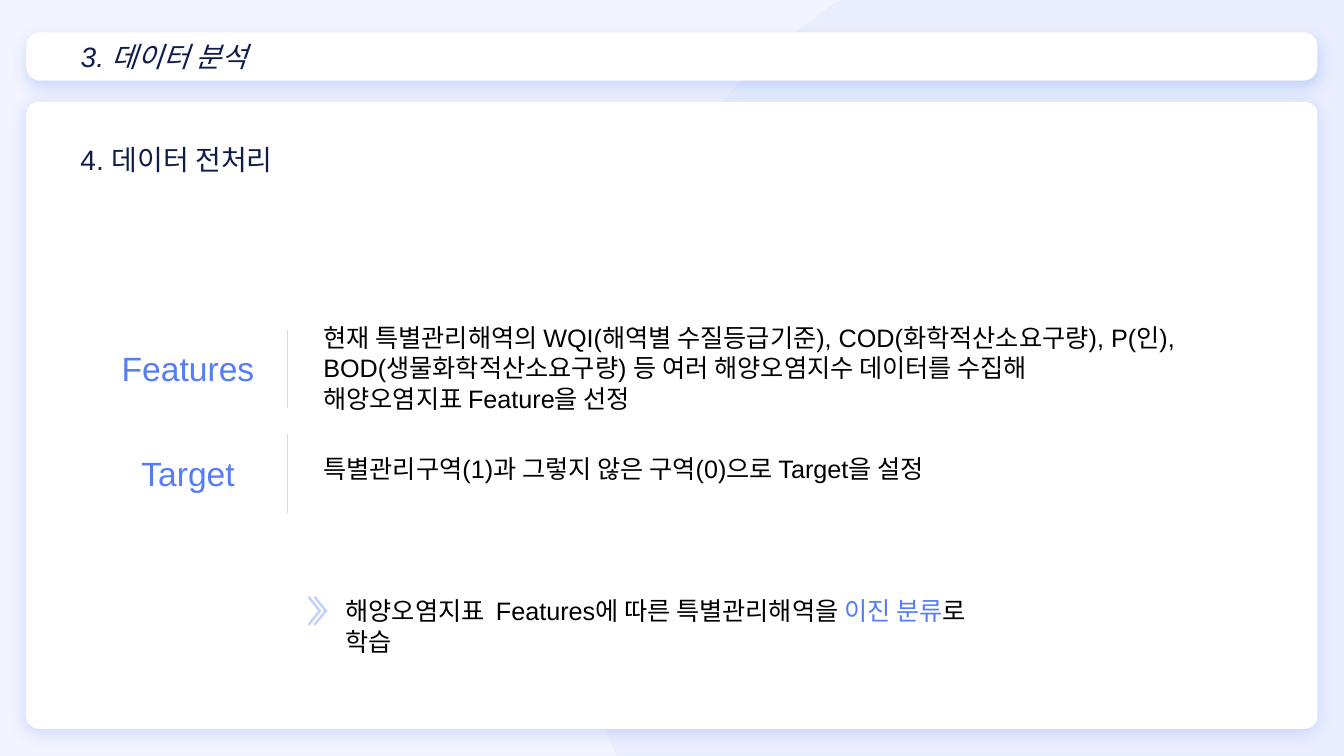
"""Build the data preprocessing slide on a grid of tenth-inch columns and rows."""
import dataclasses

import lxml.etree
import pptx
import pptx.dml.color
import pptx.enum.shapes
import pptx.enum.text
import pptx.oxml.ns
import pptx.util

NAVY, BLUE, PALE, BLACK, WHITE = "0F1D4A", "557CF9", "8FACFC", "000000", "FFFFFF"
GREY, CHEVRON, BACKGROUND = "D8D8D8", "C3D1FD", "F2F4FF"
FONT = "Arial"
COLUMNS, ROWS = 133.33, 75
ROW_PITCH = 10.4
CURVE_STEPS = 32


@dataclasses.dataclass(frozen=True)
class Box:
    left: float
    top: float
    width: float
    height: float


@dataclasses.dataclass(frozen=True)
class Run:
    text: str
    color: str


@dataclasses.dataclass(frozen=True)
class Panel:
    box: Box
    rounding: float


@dataclasses.dataclass(frozen=True)
class Definition:
    term: str
    lines: tuple[str, ...]
    text_top: float


HEADER = Panel(Box(2.6, 3.2, 128.1, 4.8), 0.29)
BODY = Panel(Box(2.6, 10.1, 128.1, 62.2), 0.02)
DEFINITIONS = (
    Definition(
        "Features",
        (
            "현재 특별관리해역의 WQI(해역별 수질등급기준), COD(화학적산소요구량), P(인),",
            "BOD(생물화학적산소요구량) 등 여러 해양오염지수 데이터를 수집해",
            "해양오염지표 Feature을 선정",
        ),
        31.5,
    ),
    Definition("Target", ("특별관리구역(1)과 그렇지 않은 구역(0)으로 Target을 설정",), 44.5),
)
CONCLUSION = (
    Run("해양오염지표  Features에 따른 특별관리해역을 ", BLACK),
    Run("이진 분류", BLUE),
    Run("로 학습", BLACK),
)
CURVES = (
    ((60.8, 74.1), (57.7, 66.9), (56, 58.9), (56, 50.6)),
    ((56, 50.6), (56, 29.7), (66.6, 11.3), (82.7, 0.4)),
)


def grid(units: float) -> int:
    """Convert grid columns or rows to a length."""
    return int(pptx.util.Inches(units / 10))


def place(box: Box) -> tuple[int, int, int, int]:
    """Return the left, top, width and height of a box."""
    return grid(box.left), grid(box.top), grid(box.width), grid(box.height)


def paint(color_format, color: str) -> None:
    """Apply a hex colour to a fill or a line."""
    color_format.solid()
    color_format.fore_color.rgb = pptx.dml.color.RGBColor.from_string(color)


def add_child(parent, tag: str, **attributes: str):
    """Append a drawing element to its parent."""
    child = lxml.etree.SubElement(parent, pptx.oxml.ns.qn(tag))
    for name, value in attributes.items():
        child.set(name, value)
    return child


def add_panel(slide, panel: Panel):
    """Draw a white rounded panel with a soft blue shadow."""
    kind = pptx.enum.shapes.MSO_SHAPE.ROUNDED_RECTANGLE
    shape = slide.shapes.add_shape(kind, *place(panel.box))
    shape.adjustments[0] = panel.rounding
    paint(shape.fill, WHITE)
    shape.line.fill.background()
    shape.shadow.inherit = False
    effects = shape.element.spPr.find(pptx.oxml.ns.qn("a:effectLst"))
    shadow = add_child(
        effects, "a:outerShdw", blurRad=str(pptx.util.Pt(11)), dist=str(pptx.util.Pt(3)),
        dir="5400000", algn="t", rotWithShape="0",
    )
    add_child(add_child(shadow, "a:srgbClr", val=PALE), "a:alpha", val="40000")
    return shape


def write(shape, paragraphs: tuple[tuple[Run, ...], ...], size: float,
          centered: bool = False, italic: bool = False) -> None:
    """Fill a shape with formatted paragraphs."""
    frame = shape.text_frame
    frame.word_wrap = True
    alignment = pptx.enum.text.PP_ALIGN
    for index, runs in enumerate(paragraphs):
        paragraph = frame.add_paragraph() if index else frame.paragraphs[0]
        paragraph.alignment = alignment.CENTER if centered else alignment.LEFT
        for part in runs:
            run = paragraph.add_run()
            run.text = part.text
            run.font.name = FONT
            run.font.size = pptx.util.Pt(size)
            run.font.italic = italic
            paint(run.font.fill, part.color)


def add_text(slide, box: Box, paragraphs: tuple[tuple[Run, ...], ...], size: float,
             centered: bool = False) -> None:
    """Add a wrapped text box."""
    write(slide.shapes.add_textbox(*place(box)), paragraphs, size, centered)


def add_line(slide, start: tuple[float, float], end: tuple[float, float],
             color: str, weight: float) -> None:
    """Draw a straight line between two grid points."""
    points = [grid(value) for value in (*start, *end)]
    straight = pptx.enum.shapes.MSO_CONNECTOR.STRAIGHT
    line = slide.shapes.add_connector(straight, *points)
    paint(line.line.fill, color)
    line.line.width = pptx.util.Pt(weight)
    add_child(line.element.spPr, "a:effectLst")


def curve_point(curve: tuple[tuple[float, float], ...], share: float) -> tuple[int, int]:
    """Return the point at a share of a cubic curve."""
    rest = 1 - share
    weights = (rest**3, 3 * rest**2 * share, 3 * rest * share**2, share**3)
    x, y = (sum(w * point[axis] for w, point in zip(weights, curve)) for axis in (0, 1))
    return grid(x), grid(y)


def add_backdrop(slide) -> None:
    """Draw the translucent curved area on the right."""
    arc = [curve_point(curve, step / CURVE_STEPS)
           for curve in CURVES for step in range(CURVE_STEPS + 1)]
    corners = [(grid(x), grid(y)) for x, y in ((COLUMNS, 0), (COLUMNS, ROWS), (61.2, ROWS))]
    builder = slide.shapes.build_freeform(grid(83.4), 0)
    builder.add_line_segments(corners + arc, close=True)
    shape = builder.convert_to_shape()
    paint(shape.fill, PALE)
    color = shape.element.spPr.find(".//" + pptx.oxml.ns.qn("a:srgbClr"))
    add_child(color, "a:alpha", val="8000")
    shape.line.fill.background()
    shape.shadow.inherit = False


def add_definition(slide, definition: Definition, index: int) -> None:
    """Draw a term, its divider and its explanation."""
    offset = index * ROW_PITCH
    add_text(slide, Box(8.7, 34 + offset, 19.9, 5), ((Run(definition.term, BLUE),),), 24, True)
    lines = tuple((Run(line, BLACK),) for line in definition.lines)
    add_text(slide, Box(31.1, definition.text_top, 93.6, 1 + 3 * len(lines)), lines, 18)
    add_line(slide, (28.5, 32.7 + offset), (28.5, 40.5 + offset), GREY, 0.75)


def main() -> None:
    """Compose and save the slide."""
    presentation = pptx.Presentation()
    presentation.slide_width, presentation.slide_height = grid(COLUMNS), grid(ROWS)
    slide = presentation.slides.add_slide(presentation.slide_layouts[6])
    paint(slide.background.fill, BACKGROUND)
    add_backdrop(slide)
    add_panel(slide, BODY)
    header = add_panel(slide, HEADER)
    header.text_frame.margin_left = grid(5)
    header.text_frame.vertical_anchor = pptx.enum.text.MSO_ANCHOR.MIDDLE
    write(header, ((Run("3. 데이터 분석", NAVY),),), 20, italic=True)
    add_text(slide, Box(7, 13.6, 117.7, 4.4), ((Run("4. 데이터 전처리", NAVY),),), 20)
    for index, definition in enumerate(DEFINITIONS):
        add_definition(slide, definition, index)
    add_text(slide, Box(33.3, 58.6, 66.7, 4), (CONCLUSION,), 18)
    for left in (30.6, 31.2):
        for outer, tip in ((62, 60.5), (59.2, 60.7)):
            add_line(slide, (left, outer), (left + 1.2, tip), CHEVRON, 1.75)
    presentation.save("out.pptx")


if __name__ == "__main__":
    main()
